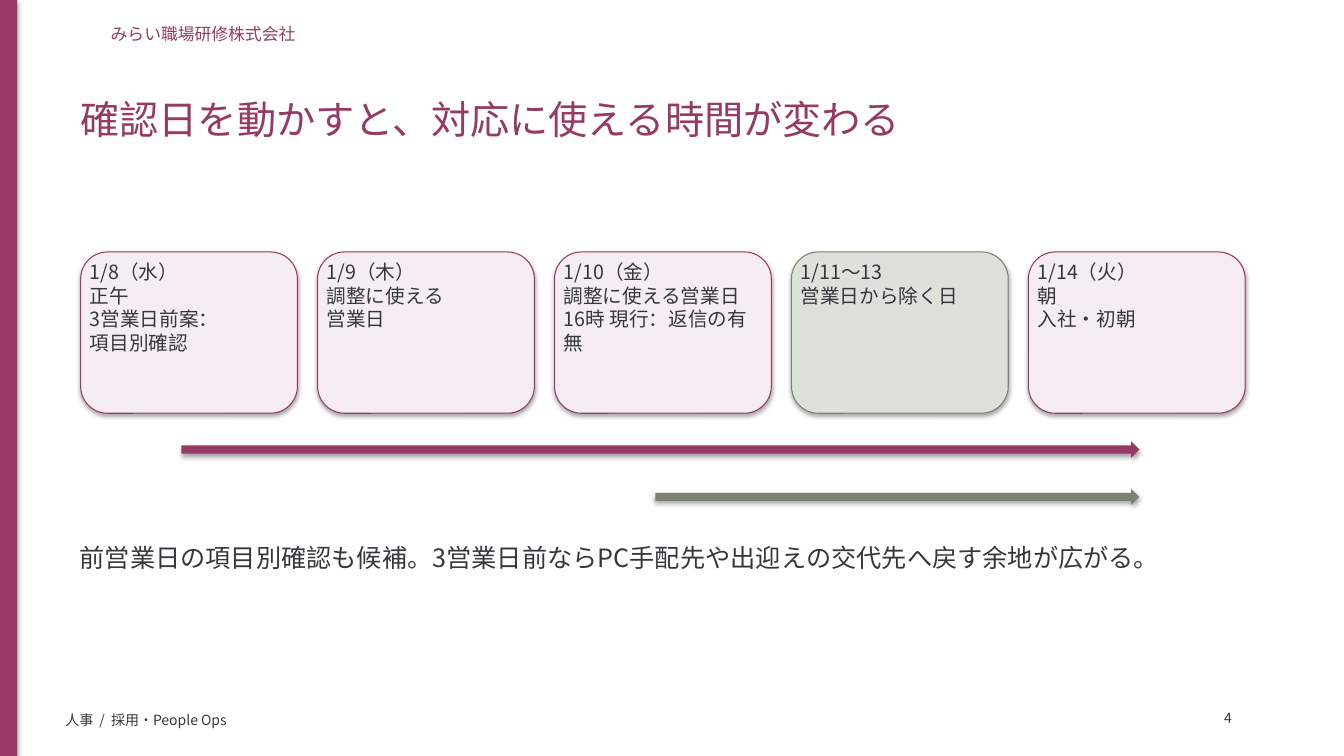
import pptx
import pptx.dml.color
import pptx.enum.shapes
import pptx.enum.text
import pptx.oxml.ns
import pptx.util
from lxml import etree

SHAPE = pptx.enum.shapes.MSO_SHAPE
PLUM, SAGE, INK = "963A65", "7B8270", "34383C"
PINK, MIST = "F5EDF1", "DCE1DA"
FONT = "Noto Sans CJK JP"
SCALE = 9144


def px(n):
    return pptx.util.Emu(n * SCALE)


def color(value):
    return pptx.dml.color.RGBColor.from_string(value)


class Deck:
    def __init__(self, width, height):
        self.prs = pptx.Presentation()
        self.prs.slide_width, self.prs.slide_height = px(width), px(height)
        self.s = self.prs.slides.add_slide(self.prs.slide_layouts[6])

    def shape(self, kind, x, y, w, h, fill, line=None):
        sp = self.s.shapes.add_shape(kind, px(x), px(y), px(w), px(h))
        sp.fill.solid()
        sp.fill.fore_color.rgb = color(fill)
        if line:
            sp.line.color.rgb = color(line)
            sp.line.width = pptx.util.Pt(0.75)
        else:
            sp.line.fill.background()

    def text(self, text, x, y, w, h, size=14, fill=INK, wrap=True, insets=(4, 3, 4, 5)):
        tf = self.s.shapes.add_textbox(px(x), px(y), px(w), px(h)).text_frame
        tf.word_wrap = wrap
        tf.vertical_anchor = pptx.enum.text.MSO_ANCHOR.TOP
        tf.margin_left, tf.margin_top, tf.margin_right, tf.margin_bottom = map(px, insets)
        for i, line in enumerate(text.split("\n")):
            p = tf.paragraphs[0] if i == 0 else tf.add_paragraph()
            r = p.add_run()
            r.text = line
            r.font.size = pptx.util.Pt(size)
            r.font.color.rgb = color(fill)
            r.font.name = FONT
            ea = etree.SubElement(r.font._element, pptx.oxml.ns.qn("a:ea"))
            ea.set("typeface", FONT)


def main():
    deck = Deck(1333, 750)
    wide = (10, 5, 10, 5)

    deck.shape(SHAPE.RECTANGLE, 0, 0, 17, 750, PLUM)
    deck.text("みらい職場研修株式会社", 100, 19, 800, 40, size=12, fill=PLUM, wrap=False, insets=wide)
    deck.text("人事  /  採用・People Ops", 55, 701, 1000, 30, size=10, wrap=False, insets=wide)
    deck.text("確認日を動かすと、対応に使える時間が変わる", 70, 90, 1180, 85, size=28, fill=PLUM, insets=wide)
    deck.text("4", 1210, 701, 50, 25, size=10)

    days = [
        ("1/8（水）\n正午\n3営業日前案：\n項目別確認", PINK, PLUM),
        ("1/9（木）\n調整に使える\n営業日", PINK, PLUM),
        ("1/10（金）\n調整に使える営業日\n16時 現行：返信の有無", PINK, PLUM),
        ("1/11〜13\n営業日から除く日", MIST, SAGE),
        ("1/14（火）\n朝\n入社・初朝", PINK, PLUM),
    ]
    for i, (label, fill, line) in enumerate(days):
        x = 80 + 235 * i
        deck.shape(SHAPE.ROUNDED_RECTANGLE, x, 250, 215, 160, fill, line)
        deck.text(label, x + 5, 255, 205, 150)

    for x, y, w, fill in [(180, 438, 950, PLUM), (650, 485, 480, SAGE)]:
        deck.shape(SHAPE.RIGHT_ARROW, x, y, w, 16, fill)

    deck.text(
        "前営業日の項目別確認も候補。3営業日前ならPC手配先や出迎えの交代先へ戻す余地が広がる。",
        75, 535, 1180, 90, size=18,
    )
    deck.prs.save("out.pptx")


if __name__ == "__main__":
    main()
